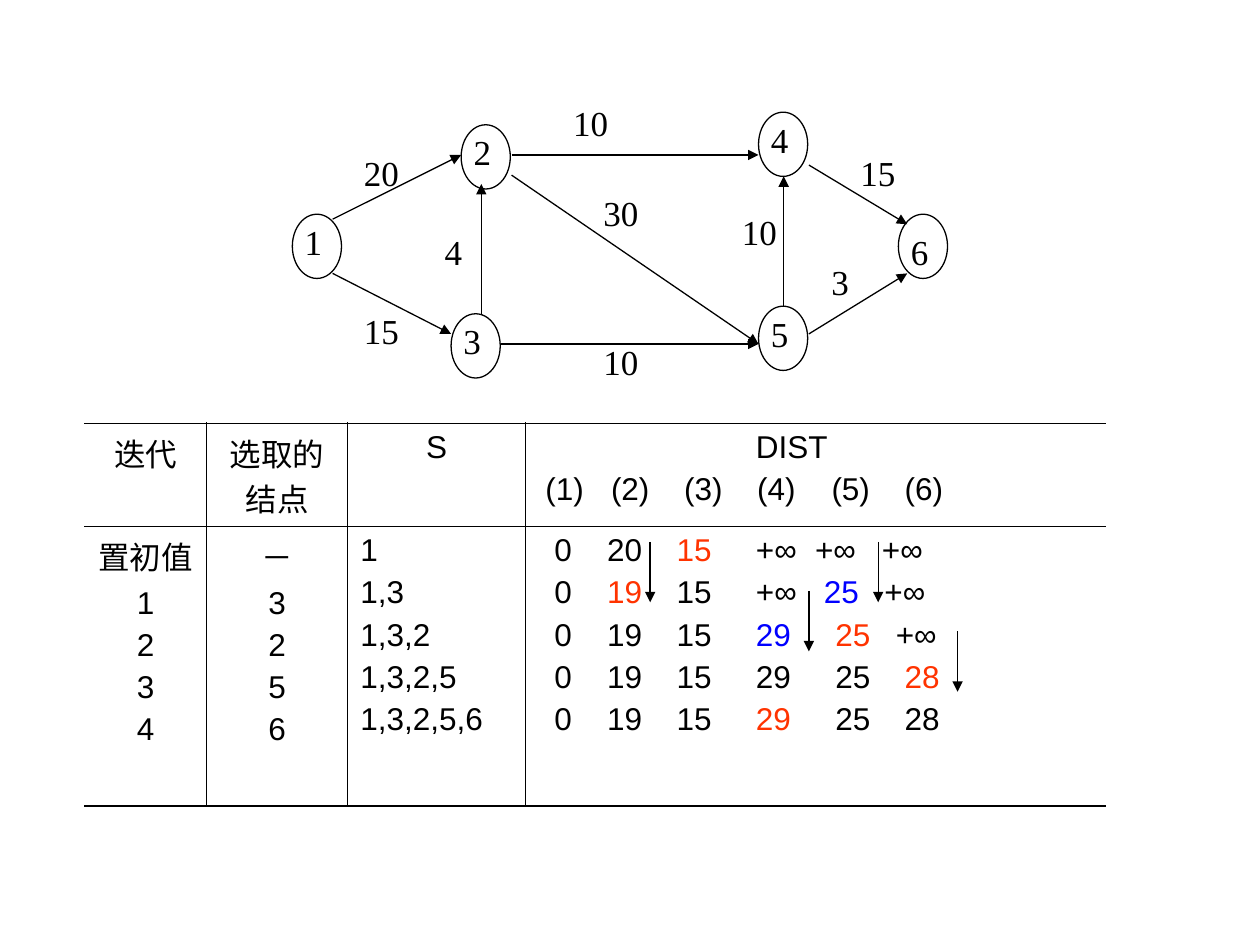
from dataclasses import dataclass

from lxml.etree import SubElement as Sub
from pptx import Presentation
from pptx.dml.color import RGBColor as RGB
from pptx.enum.shapes import MSO_CONNECTOR as Link, MSO_SHAPE as Shape
from pptx.enum.text import PP_ALIGN as Align
from pptx.oxml.ns import qn
from pptx.util import Inches, Pt


@dataclass(frozen=True)
class Theme:
    black: RGB = RGB(0, 0, 0)
    red: RGB = RGB(0xFF, 0x33, 0)
    blue: RGB = RGB(0, 0, 0xFF)
    serif: str = "Times New Roman"
    sans: str = "Arial"
    label: Pt = Pt(20)
    body: Pt = Pt(18)
    gap: Pt = Pt(4)
    line: Pt = Pt(0.75)
    thin: Pt = Pt(0.45)
    thick: Pt = Pt(1.08)


THEME = Theme()
LABEL = {"name": THEME.serif, "size": THEME.label}
BODY = {"name": THEME.sans, "size": THEME.body}
MARKS = {"*": THEME.red, "~": THEME.blue}

# name: left, top, label drop
NODES = {
    "1": (2.32, 1.7, 0), "2": (3.66, 0.99, 0), "3": (3.58, 2.49, 0),
    "4": (6.02, 0.89, 0), "5": (6.02, 2.43, 0), "6": (7.13, 1.7, 0.08),
}
# weight, label left and top, arrow from and to
EDGES = [
    ("20", 2.79, 1.15, (2.64, 1.74, 3.66, 1.23)),
    ("15", 2.79, 2.41, (2.64, 2.17, 3.58, 2.65)),
    ("4", 3.43, 1.78, (3.82, 2.49, 3.82, 1.46)),
    ("10", 4.45, 0.76, (4.06, 1.23, 6.02, 1.23)),
    ("30", 4.69, 1.47, (4.06, 1.39, 6.02, 2.73)),
    ("10", 4.69, 2.65, (3.98, 2.73, 6.02, 2.73)),
    ("10", 5.79, 1.62, (6.22, 2.43, 6.22, 1.4)),
    ("15", 6.73, 1.15, (6.42, 1.31, 7.2, 1.78)),
    ("3", 6.5, 2.02, (6.42, 2.65, 7.2, 2.17)),
]
# Left and top of the arrows that mark a lowered distance
DROPS = [(5.16, 4.3), (6.97, 4.3), (6.42, 4.69), (7.6, 5.01)]
DROP = 0.48

COLS = [0.97, 1.12, 1.41, 4.61]
ROWS = [0.82, 2.22]
STOPS = [0.13, 0.55, 1.1, 1.73, 2.36, 2.91]
# Tab stops and values; * is the node picked, ~ a lowered distance
HEAD = [
    ([1.73], ["DIST"]),
    ([0.06, 0.58, 1.16, 1.74, 2.33, 2.91], [f"({n})" for n in range(1, 7)]),
]
DIST = [
    (STOPS[:4] + [2.2, 2.73], ["0", "20", "*15", "+∞", "+∞", "+∞"]),
    (STOPS[:4] + [2.27, 2.75], ["0", "*19", "15", "+∞", "~25", "+∞"]),
    (STOPS[:5] + [2.84], ["0", "19", "15", "~29", "*25", "+∞"]),
    (STOPS, ["0", "19", "15", "29", "25", "*28"]),
    (STOPS, ["0", "19", "15", "*29", "25", "28"]),
]
CELLS = [
    [["迭代"], ["选取的结点"], ["S"], HEAD],
    [["置初值", "1", "2", "3", "4"], ["－", "3", "2", "5", "6"],
     ["1", "1,3", "1,3,2", "1,3,2,5", "1,3,2,5,6"], DIST],
]


def style(font, form, color=THEME.black):
    for key, value in form.items():
        setattr(font, key, value)
    font.color.rgb = color


def add_run(para, text, form):
    """Write text in the colour that its leading mark asks for."""
    run = para.add_run()
    run.text = text.lstrip("*~")
    style(run.font, form, MARKS.get(text[0], THEME.black))


def add_label(group, text, left, top, width, height=0.51):
    box = group.shapes.add_textbox(*map(Inches, (left, top, width, height)))
    box.text_frame.word_wrap = True
    add_run(box.text_frame.paragraphs[0], text, LABEL)


def add_node(group, name, left, top, drop):
    oval = group.shapes.add_shape(
        Shape.OVAL, *map(Inches, (left, top, 0.39, 0.51)))
    oval.shadow.inherit = False
    oval.fill.background()
    oval.line.color.rgb = THEME.black
    oval.line.width = THEME.line
    add_label(group, name, left, top + drop, 0.39)


def add_arrow(parent, ends):
    arrow = parent.shapes.add_connector(Link.STRAIGHT, *map(Inches, ends))
    arrow.line.color.rgb = THEME.black
    arrow.line.width = THEME.line
    Sub(arrow.line._get_or_add_ln(), qn("a:tailEnd"), type="triangle")
    Sub(arrow._element.spPr, qn("a:effectLst"))


def add_graph(slide):
    group = slide.shapes.add_group_shape()
    for name, place in NODES.items():
        add_node(group, name, *place)
    for weight, left, top, ends in EDGES:
        add_arrow(group, ends)
        add_label(group, weight, left, top, 0.49)


def set_edges(cell, **widths):
    """Rule the sides L, R, T and B; a width of None leaves a side bare."""
    props = cell._tc.get_or_add_tcPr()
    for side in "LRTB":
        width = widths[side]
        edge = Sub(props, qn(f"a:ln{side}"), w=str(width or 0))
        if width is None:
            Sub(edge, qn("a:noFill"))
        else:
            fill = Sub(edge, qn("a:solidFill"))
            Sub(fill, qn("a:srgbClr"), val=str(THEME.black))
    cell.fill.background()


def add_stops(para, stops):
    tabs = Sub(para._p.get_or_add_pPr(), qn("a:tabLst"))
    for stop in stops:
        Sub(tabs, qn("a:tab"), pos=str(Inches(stop)), algn="l")


def fill_cell(cell, lines, align):
    frame = cell.text_frame
    for i, line in enumerate(lines):
        para = frame.add_paragraph() if i else frame.paragraphs[0]
        if isinstance(line, str):
            add_run(para, line, BODY)
        else:
            stops, values = line
            add_stops(para, stops)
            for value in values:
                add_run(para, "\t", BODY)
                add_run(para, value, BODY)
        para.alignment = align
        if i:
            para.space_before = THEME.gap


def add_grid(slide):
    place = map(Inches, (0.67, 3.36, sum(COLS), sum(ROWS)))
    table = slide.shapes.add_table(len(ROWS), len(COLS), *place).table
    table.first_row = table.horz_banding = False
    for col, width in zip(table.columns, COLS):
        col.width = Inches(width)
    for row, height in zip(table.rows, ROWS):
        row.height = Inches(height)
    last = len(COLS) - 1
    for r, texts in enumerate(CELLS):
        for c, lines in enumerate(texts):
            cell = table.cell(r, c)
            left = c == last or (r and c == 2)
            fill_cell(cell, lines, Align.LEFT if left else Align.CENTER)
            set_edges(cell, L=THEME.thin if c else None,
                      R=THEME.thin if c < last else None,
                      T=THEME.thin if r else THEME.thick,
                      B=THEME.thick if r else THEME.thin)


def main():
    deck = Presentation()
    deck.slide_width, deck.slide_height = Inches(10), Inches(7.5)
    slide = deck.slides.add_slide(deck.slide_layouts[6])
    add_graph(slide)
    add_grid(slide)
    for left, top in DROPS:
        add_arrow(slide, (left, top, left, top + DROP))
    deck.save("out.pptx")


if __name__ == "__main__":
    main()
